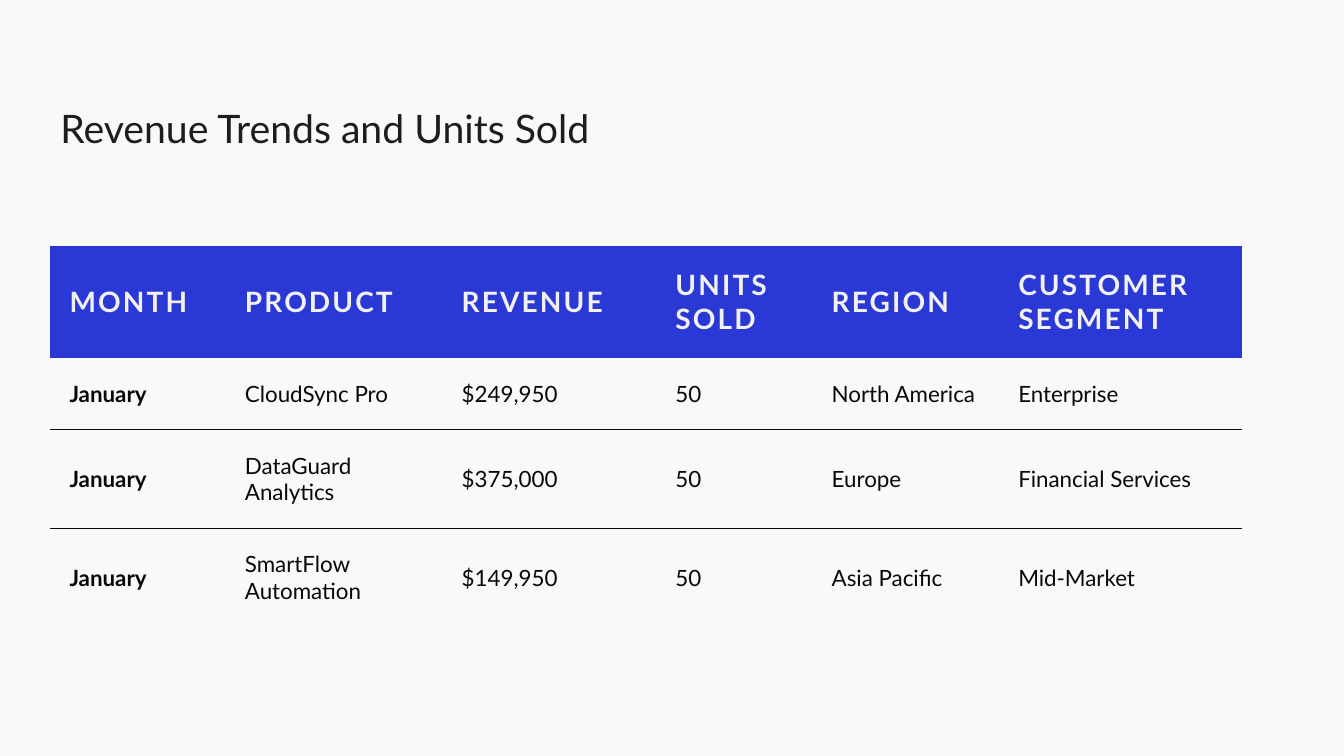
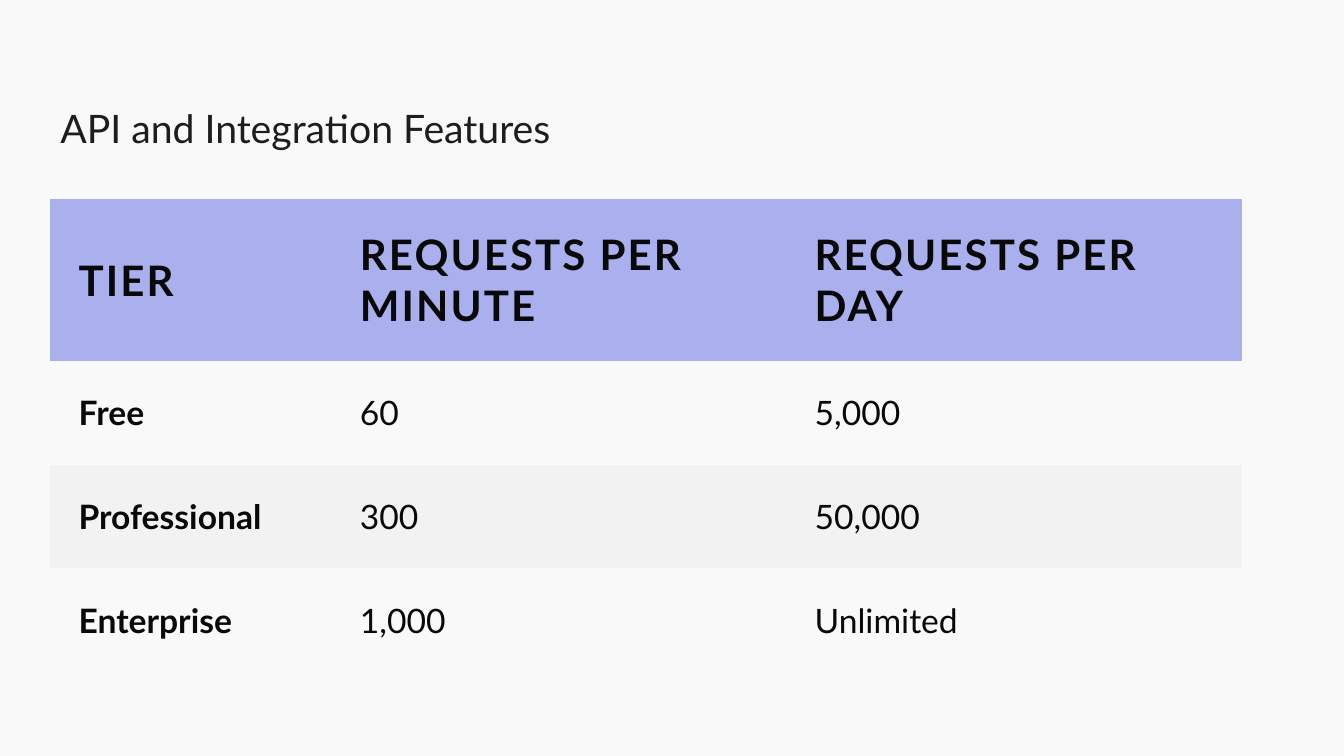
import pptx
import pptx.dml.color
import pptx.enum.text
import pptx.oxml
import pptx.oxml.ns
import pptx.util

RGBColor = pptx.dml.color.RGBColor
MSO_ANCHOR = pptx.enum.text.MSO_ANCHOR

PX = 9144  # EMU per px, 100 px to the inch
FONT = "Lato"
BACKGROUND = RGBColor(0xF9, 0xF9, 0xF9)
TITLE_INK = RGBColor(0x1D, 0x1D, 0x1D)
INK = RGBColor(0x09, 0x09, 0x09)
PALE = RGBColor(0xF1, 0xF1, 0xF1)
BLUE = RGBColor(0x2A, 0x38, 0xD5)
LAVENDER = RGBColor(0xAA, 0xAF, 0xEE)
BAND = RGBColor(0xF2, 0xF2, 0xF2)
PLAIN_TABLE_STYLE = "{2D5ABB26-0587-4C30-8999-92F81FD0307C}"
LEFT, WIDTH = 50, 1182

SLIDES = [
    dict(
        title="Revenue Trends and Units Sold",
        top=244, cols=[174, 215, 212, 155, 185, 241], heights=[111, 71, 98, 98],
        inset=19, head_size=20, body_size=16,
        head_fill=BLUE, head_ink=PALE, ruled=True, banded=False,
        rows=[
            ["MONTH", "PRODUCT", "REVENUE", "UNITS SOLD", "REGION", "CUSTOMER SEGMENT"],
            ["January", "CloudSync Pro", "$249,950", "50", "North America", "Enterprise"],
            ["January", "DataGuard Analytics", "$375,000", "50", "Europe", "Financial Services"],
            ["January", "SmartFlow Automation", "$149,950", "50", "Asia Pacific", "Mid-Market"],
        ],
    ),
    dict(
        title="API and Integration Features",
        top=197, cols=[279, 451, 452], heights=[161, 103, 103, 103],
        inset=28, head_size=30, body_size=24,
        head_fill=LAVENDER, head_ink=INK, ruled=False, banded=True,
        rows=[
            ["TIER", "REQUESTS PER MINUTE", "REQUESTS PER DAY"],
            ["Free", "60", "5,000"],
            ["Professional", "300", "50,000"],
            ["Enterprise", "1,000", "Unlimited"],
        ],
    ),
]


def add_border(cell, side):
    """Draw a half-point rule on one side (lnT or lnB); call before setting the fill."""
    cell._tc.get_or_add_tcPr().append(pptx.oxml.parse_xml(
        f'<a:{side} {pptx.oxml.ns.nsdecls("a")} w="6350"><a:solidFill>'
        f'<a:srgbClr val="{INK}"/></a:solidFill></a:{side}>'))


def set_font(p, size, color, bold=False):
    p.font.name = FONT
    p.font.size = pptx.util.Pt(size)
    p.font.bold = bold
    p.font.color.rgb = color


prs = pptx.Presentation()
prs.slide_width = pptx.util.Inches(13.33)
prs.slide_height = pptx.util.Inches(7.5)
master_fill = prs.slide_master.background.fill
master_fill.solid()
master_fill.fore_color.rgb = BACKGROUND

for page in SLIDES:
    s = prs.slides.add_slide(prs.slide_layouts[6])

    tf = s.shapes.add_textbox(LEFT * PX, 50 * PX, WIDTH * PX, 106 * PX).text_frame
    tf.word_wrap = True
    tf.vertical_anchor = MSO_ANCHOR.BOTTOM
    p = tf.paragraphs[0]
    p.text = page["title"]
    p.line_spacing = 0.9
    set_font(p, 28, TITLE_INK)

    rows, heights = page["rows"], page["heights"]
    frame = s.shapes.add_table(len(rows), len(page["cols"]), LEFT * PX, page["top"] * PX,
                               WIDTH * PX, sum(heights) * PX)
    table = frame.table
    table.first_row = table.horz_banding = False
    table._tbl.tblPr.find(pptx.oxml.ns.qn("a:tableStyleId")).text = PLAIN_TABLE_STYLE
    for column, width in zip(table.columns, page["cols"]):
        column.width = width * PX

    for i, texts in enumerate(rows):
        table.rows[i].height = heights[i] * PX
        for j, text in enumerate(texts):
            cell = table.cell(i, j)
            cell.vertical_anchor = MSO_ANCHOR.MIDDLE
            cell.margin_left = cell.margin_right = page["inset"] * PX
            cell.margin_top = cell.margin_bottom = page["inset"] * PX
            if page["ruled"] and i > 1:
                add_border(cell, "lnT")
            if page["ruled"] and 0 < i < len(rows) - 1:
                add_border(cell, "lnB")

            p = cell.text_frame.paragraphs[0]
            p.text = text
            if i == 0:
                fill = page["head_fill"]
                set_font(p, page["head_size"], page["head_ink"], bold=True)
                p.font._rPr.set("spc", "150")
            else:
                fill = BAND if page["banded"] and i % 2 == 0 else None
                set_font(p, page["body_size"], INK, bold=j == 0)

            if fill is None:
                cell.fill.background()
            else:
                cell.fill.solid()
                cell.fill.fore_color.rgb = fill

prs.save("out.pptx")
